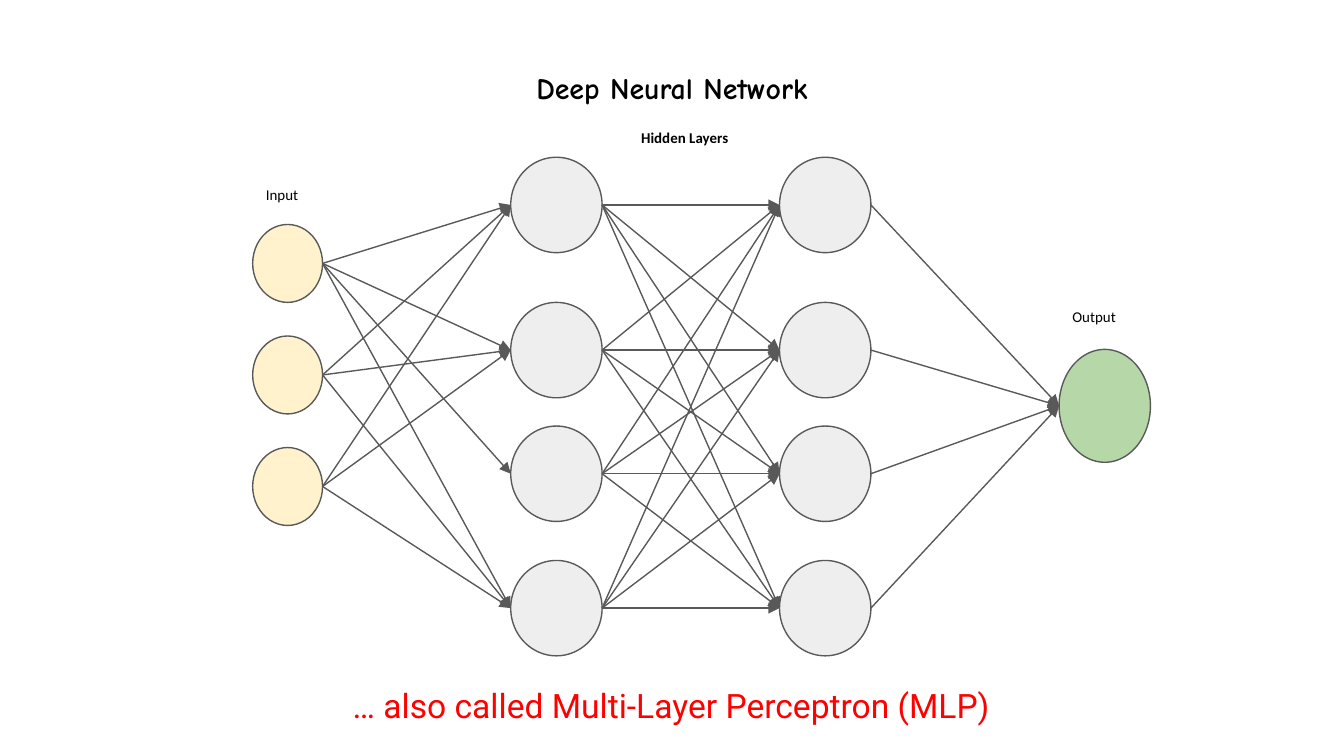
from dataclasses import dataclass
from itertools import product

from lxml.etree import SubElement
from pptx import Presentation
from pptx.dml.color import RGBColor
from pptx.enum.shapes import MSO_CONNECTOR, MSO_SHAPE
from pptx.enum.text import MSO_ANCHOR, PP_ALIGN
from pptx.oxml.ns import qn
from pptx.slide import Slide
from pptx.util import Inches, Pt


@dataclass(frozen=True)
class Theme:
    input_fill: str = "FFF2CC"
    hidden_fill: str = "EEEEEE"
    output_fill: str = "B6D7A8"
    outline: str = "595959"
    text: str = "000000"
    accent: str = "FF0000"
    label_font: str = "Calibri"
    title_font: str = "Comic Neue"
    note_font: str = "Roboto"
    label_size: float = 8
    title_size: float = 16
    note_size: float = 18
    line_width: float = 0.75


THEME = Theme()


@dataclass(frozen=True)
class Layer:
    left: float
    width: float
    height: float
    tops: tuple[float, ...]
    fill: str

    @property
    def right(self) -> float:
        return self.left + self.width

    @property
    def centers(self) -> tuple[float, ...]:
        return tuple(top + self.height / 2 for top in self.tops)


@dataclass(frozen=True)
class Label:
    text: str
    left: float
    top: float
    width: float
    height: float
    font: str = THEME.label_font
    size: float = THEME.label_size
    color: str = THEME.text
    bold: bool = False
    align: PP_ALIGN = PP_ALIGN.CENTER
    line_spacing: float = 1.0
    space_after: float = 0


HIDDEN_TOPS = (1.17, 2.25, 3.17, 4.17)
LAYERS = (
    Layer(1.88, 0.52, 0.58, tuple(1.67 + 0.83 * row for row in range(3)), THEME.input_fill),
    Layer(3.8, 0.68, 0.71, HIDDEN_TOPS, THEME.hidden_fill),
    Layer(5.8, 0.68, 0.71, HIDDEN_TOPS, THEME.hidden_fill),
    Layer(7.88, 0.68, 0.84, (2.6,), THEME.output_fill),
)

# Unlinked pairs: (source layer, source node, target node)
MISSING_LINKS = {(0, 1, 2), (0, 2, 2)}

LABELS = (
    Label("Output", 7.88, 2.26, 0.62, 0.19, align=PP_ALIGN.LEFT),
    Label("Hidden Layers", 4.62, 0.93, 0.95, 0.19, bold=True),
    Label("Input", 1.88, 1.35, 0.62, 0.19, align=PP_ALIGN.LEFT),
    Label("Deep Neural Network", 0.34, 0.4, 9.32, 0.47, THEME.title_font,
          THEME.title_size, bold=True, line_spacing=1.15, space_after=16),
    Label("… also called Multi-Layer Perceptron (MLP)", 1.36, 4.88, 7.27, 0.74,
          THEME.note_font, THEME.note_size, THEME.accent),
)


def draw_layer(slide: Slide, layer: Layer) -> None:
    for top in layer.tops:
        node = slide.shapes.add_shape(
            MSO_SHAPE.OVAL, Inches(layer.left), Inches(top),
            Inches(layer.width), Inches(layer.height))
        node.shadow.inherit = False
        node.fill.solid()
        node.fill.fore_color.rgb = RGBColor.from_string(layer.fill)
        node.line.color.rgb = RGBColor.from_string(THEME.outline)
        node.line.width = Pt(THEME.line_width)


def draw_arrow(slide: Slide, start: tuple[float, float], end: tuple[float, float]) -> None:
    arrow = slide.shapes.add_connector(
        MSO_CONNECTOR.STRAIGHT, *(Inches(value) for value in start + end))
    arrow.line.color.rgb = RGBColor.from_string(THEME.outline)
    arrow.line.width = Pt(THEME.line_width)
    properties = arrow._element.spPr
    SubElement(properties.find(qn("a:ln")), qn("a:tailEnd"), type="triangle")
    SubElement(properties, qn("a:effectLst"))


def draw_links(slide: Slide, index: int) -> None:
    """Link a layer to the one after it, node by node."""
    source, target = LAYERS[index:index + 2]
    for (i, start), (j, end) in product(enumerate(source.centers), enumerate(target.centers)):
        if (index, i, j) not in MISSING_LINKS:
            draw_arrow(slide, (source.right, start), (target.left, end))


def draw_label(slide: Slide, label: Label) -> None:
    box = slide.shapes.add_textbox(
        Inches(label.left), Inches(label.top), Inches(label.width), Inches(label.height))
    frame = box.text_frame
    frame.word_wrap = True
    frame.vertical_anchor = MSO_ANCHOR.MIDDLE
    frame.margin_left = frame.margin_right = Inches(0.1)
    frame.margin_top = frame.margin_bottom = Inches(0.1)
    frame.text = label.text
    paragraph = frame.paragraphs[0]
    paragraph.alignment = label.align
    paragraph.line_spacing = label.line_spacing
    paragraph.space_after = Pt(label.space_after)
    font = paragraph.runs[0].font
    font.name = label.font
    font.size = Pt(label.size)
    font.bold = label.bold
    font.color.rgb = RGBColor.from_string(label.color)


def main() -> None:
    presentation = Presentation()
    presentation.slide_width = Inches(10)
    presentation.slide_height = Inches(10 * 9 / 16)
    slide = presentation.slides.add_slide(presentation.slide_layouts[6])
    for layer in LAYERS:
        draw_layer(slide, layer)
    for index in range(len(LAYERS) - 1):
        draw_links(slide, index)
    for label in LABELS:
        draw_label(slide, label)
    presentation.save("out.pptx")


if __name__ == "__main__":
    main()
